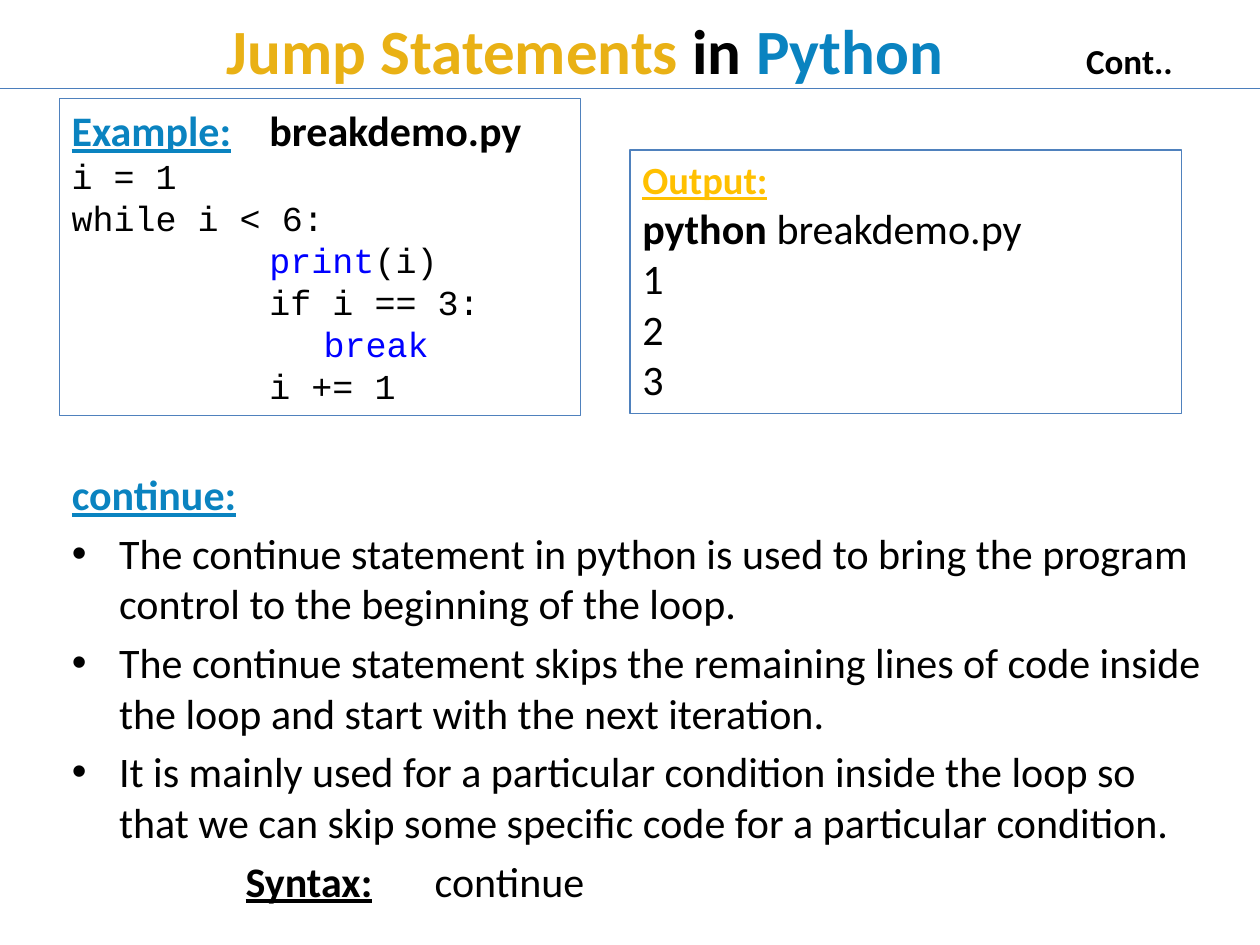
"""Build the slide on jump statements in Python."""
from lxml import etree
from pptx import Presentation
from pptx.dml.color import RGBColor
from pptx.enum.shapes import MSO_CONNECTOR, MSO_SHAPE
from pptx.enum.text import MSO_ANCHOR, MSO_AUTO_SIZE, PP_ALIGN
from pptx.oxml.ns import qn
from pptx.util import Inches, Pt

COLORS = {"black": "000000", "gold": "E9B115", "blue": "0A83C0", "amber": "FFC000",
          "keyword": "0000FF", "border": "4F81BD", "rule": "4B7EBC"}


def write(paragraph, runs, size, font="Calibri"):
    """Add runs given as (text, colour, style letters, optional size)."""
    for text, color, style, *own_size in runs:
        run = paragraph.add_run()
        run.text = text
        run.font.name = font
        run.font.size = Pt(own_size[0] if own_size else size)
        run.font.bold = "b" in style
        run.font.underline = "u" in style
        run.font.color.rgb = RGBColor.from_string(COLORS[color])


def set_tab(paragraph, position):
    """Give the paragraph one left tab stop."""
    tabs = etree.SubElement(paragraph._p.get_or_add_pPr(), qn("a:tabLst"))
    etree.SubElement(tabs, qn("a:tab"), pos=str(Inches(position)), algn="l")


prs = Presentation()
prs.slide_width, prs.slide_height = Inches(10), Inches(7.5)
slide = prs.slides.add_slide(prs.slide_layouts[1])
title, body = slide.placeholders

title.left, title.top, title.width, title.height = map(Inches, (0.55, 0, 9, 0.78))
frame = title.text_frame
frame.auto_size = MSO_AUTO_SIZE.NONE
frame.vertical_anchor = MSO_ANCHOR.MIDDLE
frame.margin_left = Inches(1.25)
heading = frame.paragraphs[0]
heading.alignment = PP_ALIGN.LEFT
set_tab(heading, 6.82)
write(heading, [("Jump Statements ", "gold", "b"), ("in ", "black", "b"),
                ("Python", "blue", "b"), ("\tCont..", "black", "b", 20)], 36)

body.left, body.top, body.width, body.height = map(Inches, (0.47, 3.67, 9.22, 3.59))
frame = body.text_frame
frame.auto_size = MSO_AUTO_SIZE.NONE
points = [
    "The continue statement in python is used to bring the program control to the "
    "beginning of the loop.",
    "The continue statement skips the remaining lines of code inside the loop and start "
    "with the next iteration.",
    "It is mainly used for a particular condition inside the loop so that we can skip some "
    "specific code for a particular condition.",
]
body_lines = [(0, [("continue:", "blue", "bu")])]
body_lines += [(None, [(point, "black", "")]) for point in points]
body_lines += [(1.38, [("Syntax:", "black", "bu"), ("\tcontinue", "black", "")])]
for number, (margin, runs) in enumerate(body_lines):
    paragraph = frame.add_paragraph() if number else frame.paragraphs[0]
    if margin is not None:
        properties = paragraph._p.get_or_add_pPr()
        properties.set("marL", str(Inches(margin)))
        properties.set("indent", "0")
        etree.SubElement(properties, qn("a:buNone"))
    write(paragraph, runs, 24)

rule = slide.shapes.add_connector(MSO_CONNECTOR.STRAIGHT, 0, Inches(0.7), Inches(10), Inches(0.7))
rule.line.color.rgb = RGBColor.from_string(COLORS["rule"])
rule.line.width = Pt(0.75)
etree.SubElement(rule._element.spPr, qn("a:effectLst"))

code_font = (20, "Courier New")
example = [
    ([("Example:", "blue", "bu"), ("\tbreakdemo.py", "black", "b")], 24),
    ([("i = 1", "black", "")], *code_font),
    ([("while i < 6:", "black", "")], *code_font),
    ([("\tprint", "keyword", ""), ("(i)", "black", "")], *code_font),
    ([("\tif i == 3:", "black", "")], *code_font),
    ([("\t\tbreak", "keyword", "")], *code_font),
    ([("\ti += 1", "black", "")], *code_font),
]
output = [
    ([("Output:", "amber", "bu")], 22),
    ([("python", "black", "b"), (" breakdemo.py", "black", "")], 24),
    *[([(value, "black", "")], 24) for value in "123"],
]
for position, lines in [((0.47, 0.78, 4.14, 2.52), example), ((5, 1.19, 4.38, 2.09), output)]:
    box = slide.shapes.add_shape(MSO_SHAPE.RECTANGLE, *map(Inches, position))
    box.shadow.inherit = False
    box.fill.background()
    box.line.color.rgb = RGBColor.from_string(COLORS["border"])
    box.line.width = Pt(0.75)
    frame = box.text_frame
    frame.word_wrap = True
    frame.vertical_anchor = MSO_ANCHOR.TOP
    for number, line in enumerate(lines):
        paragraph = frame.add_paragraph() if number else frame.paragraphs[0]
        paragraph.alignment = PP_ALIGN.LEFT
        write(paragraph, *line)
    if lines is example:
        set_tab(frame.paragraphs[0], 1.57)

prs.save("out.pptx")
